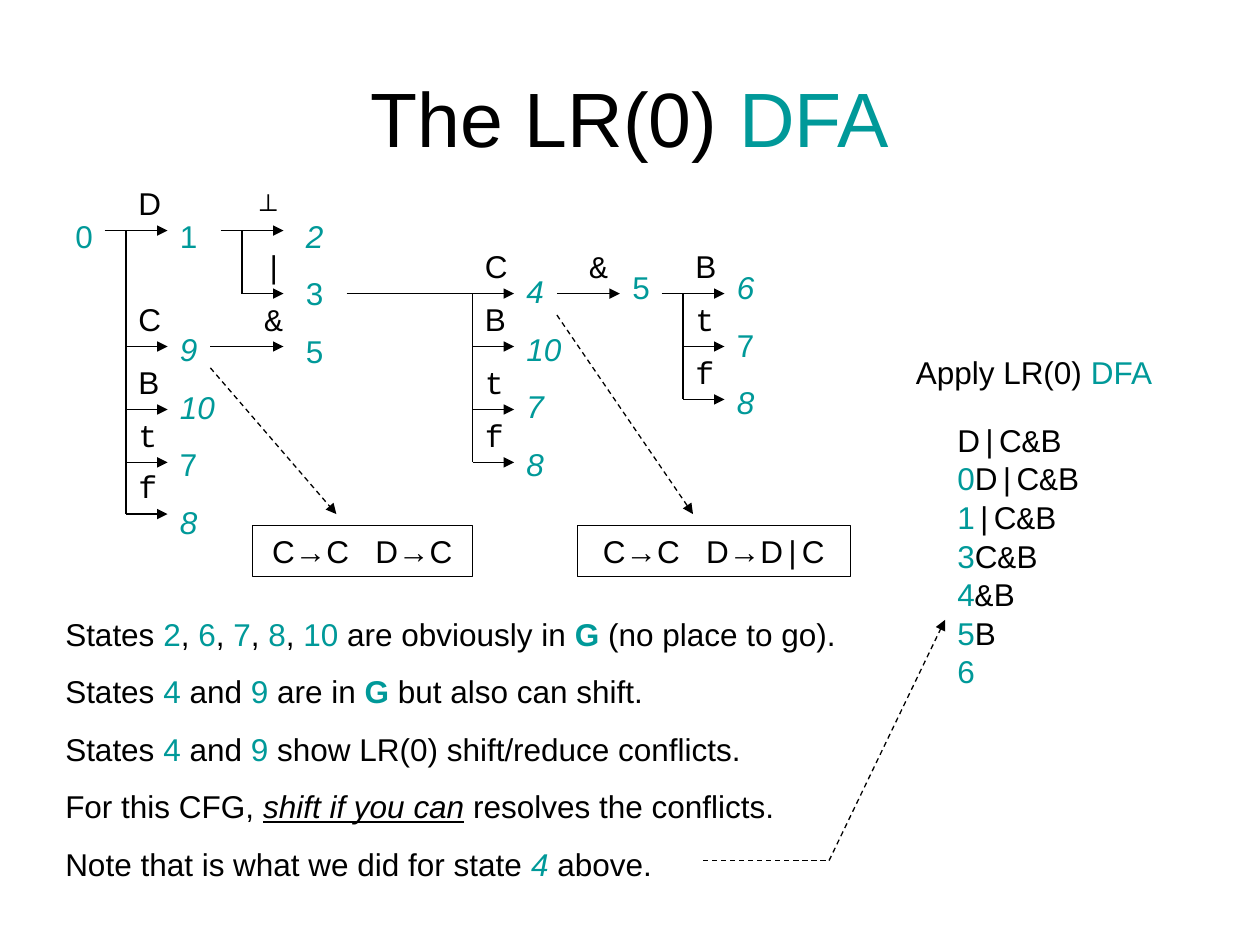
from lxml.etree import SubElement
from pptx import Presentation
from pptx.dml.color import RGBColor
from pptx.enum.dml import MSO_LINE
from pptx.enum.shapes import MSO_CONNECTOR, MSO_SHAPE
from pptx.enum.text import MSO_ANCHOR, MSO_AUTO_SIZE, PP_ALIGN
from pptx.oxml.ns import qn
from pptx.util import Inches, Pt

COLORS = {"ink": "000000", "state": "009999"}
TEXT_HEIGHT = 0.4
LABEL_RISE = 0.42
TWIG = 0.33
PARAGRAPH_GAP = 11.25
SKIPPED_ROW_GAP = 43.2


def rgb(name):
    return RGBColor.from_string(COLORS[name])


class DfaSlide:
    sans = "Arial"
    mono = "Courier New"

    def __init__(self, deck):
        self.slide = deck.slides.add_slide(deck.slide_layouts[6])

    def style_font(self, font, flags):
        font.name = self.mono if "m" in flags else self.sans
        font.color.rgb = rgb("state" if "s" in flags else "ink")
        if "b" in flags:
            font.bold = True
        if "i" in flags:
            font.italic = True
        if "u" in flags:
            font.underline = True

    def fill_frame(self, frame, paragraphs, size=18, align=None, spacing=None, gaps=None):
        frame.word_wrap = True
        for index, runs in enumerate(paragraphs):
            paragraph = frame.add_paragraph() if index else frame.paragraphs[0]
            paragraph.alignment = align
            paragraph.line_spacing = spacing
            if index:
                paragraph.space_before = Pt((gaps or {}).get(index, PARAGRAPH_GAP))
            paragraph.font.size = Pt(size)
            self.style_font(paragraph.font, runs[0][1] if len(runs) == 1 else "")
            for content, flags in runs:
                run = paragraph.add_run()
                run.text = content
                if flags and len(runs) > 1:
                    self.style_font(run.font, flags)
                if "w" in flags:
                    run._r.get_or_add_rPr().set("spc", "1000")

    def text(self, left, top, width, height, paragraphs, grow=True, anchor=MSO_ANCHOR.TOP, **style):
        box = self.slide.shapes.add_textbox(Inches(left), Inches(top), Inches(width), Inches(height))
        frame = box.text_frame
        self.fill_frame(frame, paragraphs, **style)
        frame.vertical_anchor = anchor
        frame.auto_size = MSO_AUTO_SIZE.SHAPE_TO_FIT_TEXT if grow else MSO_AUTO_SIZE.NONE

    def reduction(self, left, width, runs):
        box = self.slide.shapes.add_shape(
            MSO_SHAPE.RECTANGLE, Inches(left), Inches(4.17), Inches(width), Inches(TEXT_HEIGHT))
        box.shadow.inherit = False
        box.fill.background()
        box.line.color.rgb = rgb("ink")
        box.line.width = Pt(0.25)
        self.fill_frame(box.text_frame, [runs], align=PP_ALIGN.CENTER)
        box.text_frame.auto_size = MSO_AUTO_SIZE.SHAPE_TO_FIT_TEXT

    def line(self, start, end, arrow=True, dashed=False):
        edge = self.slide.shapes.add_connector(
            MSO_CONNECTOR.STRAIGHT, *(Inches(value) for value in (*start, *end)))
        edge.line.color.rgb = rgb("ink")
        edge.line.width = Pt(0.75)
        if dashed:
            edge.line.dash_style = MSO_LINE.DASH
        properties = edge._element.spPr
        if arrow:
            SubElement(properties.find(qn("a:ln")), qn("a:tailEnd"), type="triangle")
        SubElement(properties, qn("a:effectLst"))

    def branch(self, trunk, top, rows):
        self.line((trunk, top), (trunk, rows[-1]), arrow=False)
        for row in rows:
            self.line((trunk, row), (trunk + TWIG, row))

    def label(self, left, row, symbol, flags="", size=18):
        self.text(left, row - LABEL_RISE, 0.42, TEXT_HEIGHT, [[(symbol, flags)]], size=size)


def trace(step):
    return [(char, "s" if char.isdigit() else "m" if char in "|&" else "") for char in step]


STATE_COLUMNS = [
    (1.33, 1.67, 0.73, 2.68, [("1", "s"), ("9", "si"), ("10", "si"), ("7", "s"), ("8", "si")],
     {1: SKIPPED_ROW_GAP}),
    (2.33, 1.67, 1.17, 1.32, [("2", "si"), ("3", "s"), ("5", "s")], None),
    (4.08, 2.11, 0.75, 1.79, [("4", "si"), ("10", "si"), ("7", "si"), ("8", "si")], None),
    (4.92, 2.08, 0.67, TEXT_HEIGHT, [("5", "s")], None),
    (5.75, 2.08, 1.08, 1.32, [("6", "si"), ("7", "s"), ("8", "si")], None),
]
TRANSITIONS = [
    (0.83, 1.33, 1.83), (1.75, 2.25, 1.83), (1.67, 2.25, 2.75),
    (2.75, 4.08, 2.33), (4.42, 4.92, 2.33), (5.25, 5.75, 2.33),
]
BRANCHES = [
    (1, 1.83, [2.75, 3.25, 3.67, 4.08]),
    (1.92, 1.83, [2.33]),
    (3.75, 2.33, [2.75, 3.25, 3.67]),
    (5.42, 2.33, [2.75, 3.17]),
]
LABELS = [
    (1, [(1.83, "D", ""), (2.75, "C", ""), (3.25, "B", ""), (3.67, "t", "m"), (4.08, "f", "m")]),
    (2, [(2.33, "|", "m"), (2.75, "&", "m")]),
    (3.75, [(2.33, "C", ""), (2.75, "B", ""), (3.25, "t", "m"), (3.67, "f", "m")]),
    (4.58, [(2.33, "&", "m")]),
    (5.42, [(2.33, "B", ""), (2.75, "t", "m"), (3.17, "f", "m")]),
]
TRACE = ["D|C&B", "0D|C&B", "1|C&B", "3C&B", "4&B", "5B", "6"]
NOTES = [
    [("States ", ""), ("2", "s"), (", ", ""), ("6", "s"), (", ", ""), ("7", "s"), (", ", ""),
     ("8", "s"), (", ", ""), ("10", "s"), (" are obviously in ", ""), ("G", "sb"),
     (" (no place to go).", "")],
    [("States ", ""), ("4", "s"), (" and ", ""), ("9", "s"), (" are in ", ""), ("G", "sb"),
     (" but also can shift.", "")],
    [("States ", ""), ("4", "s"), (" and ", ""), ("9", "s"),
     (" show LR(0) shift/reduce conflicts.", "")],
    [("For this CFG, ", ""), ("shift if you can", "iu"), (" resolves the conflicts.", "")],
    [("Note that is what we did for state ", ""), ("4", "si"), (" above.", "")],
]


def main():
    deck = Presentation()
    deck.slide_width, deck.slide_height = Inches(10), Inches(7.5)
    dfa = DfaSlide(deck)

    dfa.text(0.5, 0.3, 9, 1.25, [[("The LR(0) ", ""), ("DFA", "s")]], grow=False,
             anchor=MSO_ANCHOR.MIDDLE, size=44, align=PP_ALIGN.CENTER)
    dfa.text(0.5, 1.67, 0.42, 3.17, [[("0", "s")]], grow=False)
    for left, top, width, height, states, gaps in STATE_COLUMNS:
        dfa.text(left, top, width, height, [[state] for state in states], gaps=gaps)

    for start, end, row in TRANSITIONS:
        dfa.line((start, row), (end, row))
    for trunk, top, rows in BRANCHES:
        dfa.branch(trunk, top, rows)
    for left, symbols in LABELS:
        for row, symbol, flags in symbols:
            dfa.label(left, row, symbol, flags)
    dfa.label(1.92, 1.83, "⊥", size=16)

    dfa.text(7.5, 3.42, 1.5, 2.09, [trace(step) for step in TRACE], spacing=0.5)
    dfa.text(7.17, 2.75, 2.17, TEXT_HEIGHT, [[("Apply LR(0) ", ""), ("DFA", "s")]])
    dfa.text(0.42, 4.83, 6.5, 2.23, NOTES)

    dfa.reduction(4.58, 2.17, [("C→C", ""), (" ", "w"), ("D→D", ""), ("|", "m"), ("C", "")])
    dfa.line((4.42, 2.5), (5.5, 4.08), dashed=True)
    dfa.reduction(2, 1.75, [("C→C", ""), (" ", "w"), ("D→C", "")])
    dfa.line((1.67, 2.92), (2.67, 4.08), dashed=True)
    dfa.line((5.58, 6.83), (6.58, 6.83), arrow=False, dashed=True)
    dfa.line((6.58, 6.83), (7.5, 4.92), dashed=True)

    deck.save("out.pptx")


if __name__ == "__main__":
    main()
